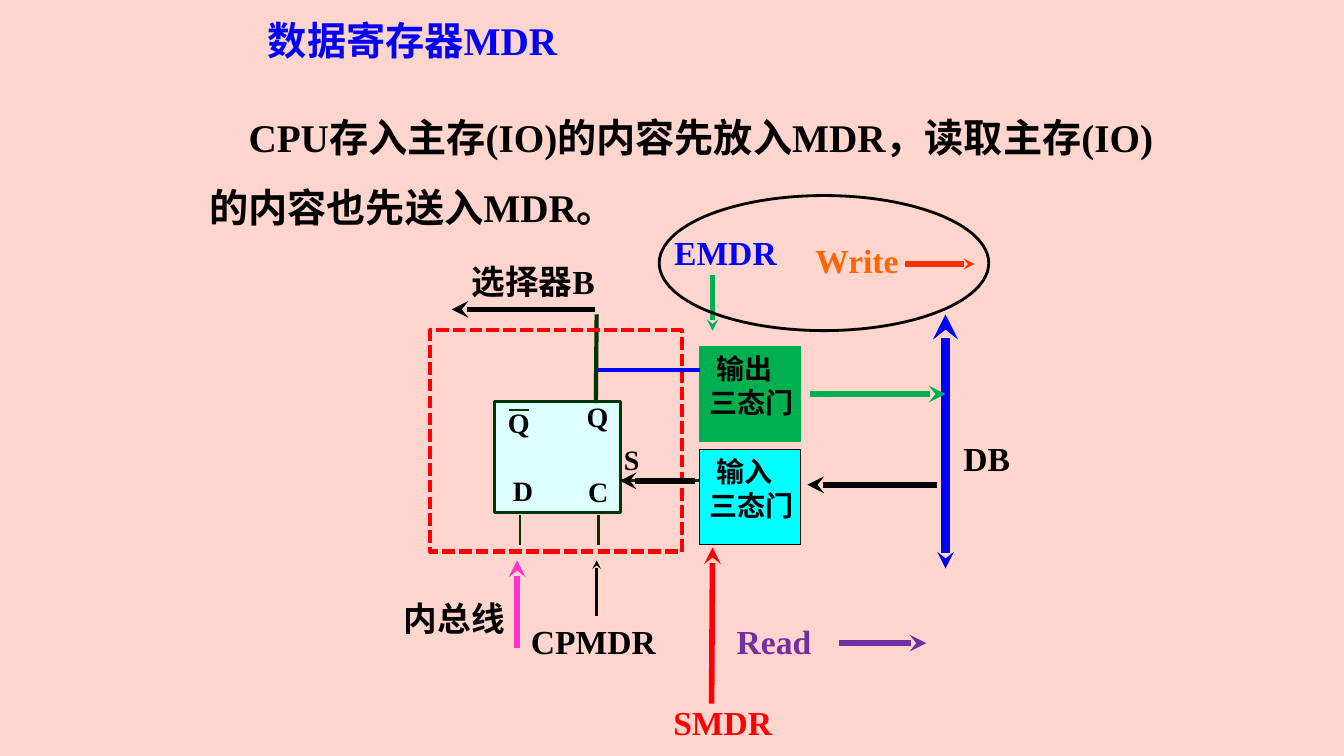
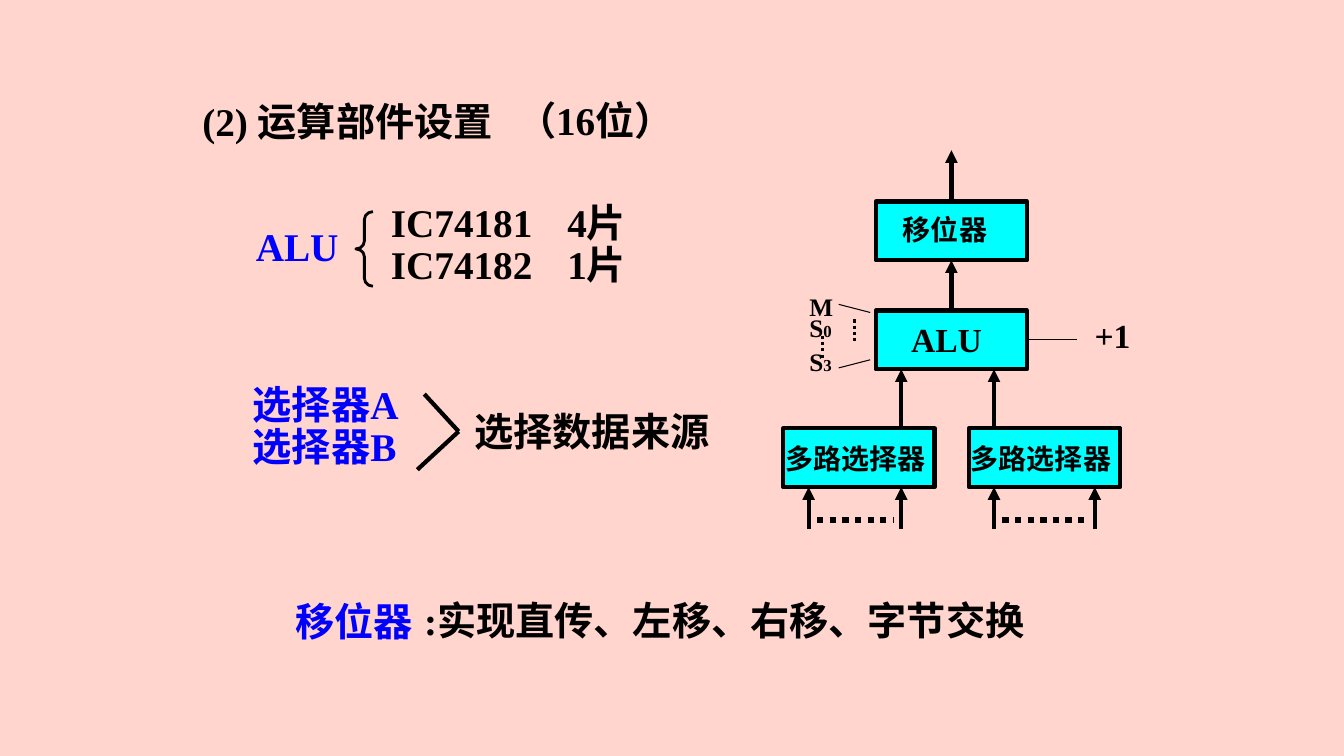
import dataclasses

import lxml.etree
import pptx
import pptx.dml.color
import pptx.enum.dml
import pptx.enum.shapes
import pptx.enum.text
import pptx.oxml.ns
import pptx.util

Pt = pptx.util.Pt
qn = pptx.oxml.ns.qn
FORM = pptx.enum.shapes.MSO_SHAPE
DASH = pptx.enum.dml.MSO_LINE
FIT = pptx.enum.text.MSO_AUTO_SIZE.SHAPE_TO_FIT_TEXT
TOP = pptx.enum.text.MSO_ANCHOR.TOP
LEFT = pptx.enum.text.PP_ALIGN.LEFT


@dataclasses.dataclass(frozen=True)
class Theme:
    """Colours, fonts and type sizes of the deck."""
    back: str = "FFD5CD"
    ink: str = "000000"
    blue: str = "0000FF"
    cyan: str = "00FFFF"
    pale: str = "DDFFFF"
    dark: str = "003400"
    green: str = "00B050"
    red: str = "FF0000"
    pink: str = "FF33CC"
    plum: str = "7030A0"
    amber: str = "FF6600"
    flame: str = "FF3300"
    latin: str = "Times New Roman"
    asian: str = "Noto Sans CJK SC"
    big: int = 28
    mid: int = 24
    body: int = 20
    note: int = 18
    tiny: int = 12


T = Theme()


def rgb(code):
    """Turn a hex code into a colour."""
    return pptx.dml.color.RGBColor.from_string(code)


def assign(thing, values):
    """Set each named attribute of an object."""
    for name, value in values.items():
        setattr(thing, name, value)


def write(frame, rows, size, color, gap=0, lead=None, indent=0, tab=0):
    """Fill a text frame; a row is a string or a list of (text, size) runs."""
    for i, row in enumerate(rows):
        para = frame.paragraphs[0] if i == 0 else frame.add_paragraph()
        props = para._p.get_or_add_pPr()
        if indent and i == 0:
            props.set("indent", str(Pt(indent)))
        if tab:
            stops = lxml.etree.SubElement(props, qn("a:tabLst"))
            lxml.etree.SubElement(stops, qn("a:tab"), pos=str(Pt(tab)), algn="l")
        assign(para, {"alignment": LEFT, "line_spacing": lead,
                      "space_before": Pt(gap if i else 0)})
        for words, points in [(row, size)] if isinstance(row, str) else row:
            run = para.add_run()
            run.text = words
            assign(run.font, {"size": Pt(points), "bold": True, "name": T.latin})
            run.font.color.rgb = rgb(color)
            lxml.etree.SubElement(run._r.get_or_add_rPr(), qn("a:ea"), typeface=T.asian)


def label(slide, x, y, w, h, rows, size=T.mid, color=T.ink, wrap=True, **style):
    """Add a text box."""
    box = slide.shapes.add_textbox(Pt(x), Pt(y), Pt(w), Pt(h))
    assign(box.text_frame, {"word_wrap": wrap, "auto_size": FIT})
    write(box.text_frame, rows, size, color, **style)


def block(slide, x, y, w, h, fill=None, line=T.ink, weight=3, form=FORM.RECTANGLE,
          dash=None, rows=(), pad=(0, 0), size=T.body, indent=0):
    """Add a preset shape with optional text set in from its top left."""
    shape = slide.shapes.add_shape(form, Pt(x), Pt(y), Pt(w), Pt(h))
    shape.shadow.inherit = False
    if fill:
        shape.fill.solid()
        shape.fill.fore_color.rgb = rgb(fill)
    else:
        shape.fill.background()
    shape.line.color.rgb = rgb(line)
    assign(shape.line, {"width": Pt(weight), "dash_style": dash})
    assign(shape.text_frame, {"margin_left": Pt(pad[0]), "margin_top": Pt(pad[1]),
                              "margin_right": 0, "margin_bottom": 0,
                              "vertical_anchor": TOP, "word_wrap": True})
    write(shape.text_frame, rows, size, T.ink, indent=indent)
    return shape


def wire(slide, x1, y1, x2, y2, color=T.ink, weight=3, head=None, tail=None,
         dash=None, start=None, end=None):
    """Add a line; head and tail are (type, size), start and end are (shape, side)."""
    line = slide.shapes.add_connector(pptx.enum.shapes.MSO_CONNECTOR.STRAIGHT,
                                      Pt(x1), Pt(y1), Pt(x2), Pt(y2))
    line.line.color.rgb = rgb(color)
    assign(line.line, {"width": Pt(weight), "dash_style": dash})
    props = line._element.spPr
    for tag, mark in (("a:headEnd", head), ("a:tailEnd", tail)):
        if mark:
            lxml.etree.SubElement(props.find(qn("a:ln")), qn(tag),
                                  type=mark[0], w=mark[1], len=mark[1])
    lxml.etree.SubElement(props, qn("a:effectLst"))
    if start:
        line.begin_connect(*start)
    if end:
        line.end_connect(*end)


BARB = ("stealth", "med")
SMALL = ("stealth", "sm")
POINT = ("triangle", "med")


def draw_bus(slide, x, y, h):
    """Draw the data bus and its name."""
    wire(slide, x, y + h, x, y, T.blue, 6, SMALL, BARB)
    label(slide, x + 5.7, y + 85, 48.2, 36, ["DB"], wrap=False)


def draw_latch(slide, x, y):
    """Draw the flip-flop inside its dashed frame."""
    block(slide, x + 46, y + 51, 90, 79, T.pale, T.dark, 2)
    for name, dx, dy in (("S", 131.5, 76.5), ("D", 52.3, 98.8), ("C", 106, 99.5),
                         ("Q", 105, 45.5), ("Q", 48.7, 50)):
        label(slide, x + dx, y + dy, 38, 27, [name], T.body)
    for x1, y1, x2, y2, weight in ((56.6, 57, 71, 57, 1.5), (119.2, -11.5, 118.6, 52, 3),
                                   (64.5, 132, 64.5, 153, 2), (120.7, 132, 120.7, 153, 2),
                                   (136, 107.4, 193, 107.4, 2)):
        wire(slide, x + x1, y + y1, x + x2, y + y2, T.dark, weight)
    block(slide, x, y, 180, 158, line=T.red, dash=DASH.SQUARE_DOT)


def draw_gates(slide, x, y, bus):
    """Draw both gates and their wires to the latch and the bus."""
    for i, (name, fill, line) in enumerate((("输出", T.green, T.green),
                                            ("输入", T.cyan, T.ink))):
        block(slide, x, y + 73.4 * i, 72, 67.7, fill, line, 1,
              rows=[name, "三态门"], pad=(7.2, 3.6), indent=5)
    wire(slide, x - 73.5, y + 16.5, x, y + 16.5, T.blue)
    wire(slide, x - 3, y + 95.7, x - 57, y + 95.7, weight=4, tail=BARB)
    wire(slide, x + 79, y + 33.8, bus, y + 33.8, T.green, 4, tail=BARB)
    wire(slide, bus - 6, y + 98.6, x + 77, y + 98.6, weight=4, tail=BARB)


def draw_signals(slide, x, y):
    """Draw each control signal: its name and its arrow."""
    signals = (
        ("Read", 237.6, 300.2, 68.4, T.plum, False, (317.5, 319.7, 380.2, 319.7), T.plum, 4, BARB),
        ("CPMDR", 90.7, 300.2, 105, T.ink, True, (144.7, 300.2, 144.7, 260.6), T.ink, 2, BARB),
        ("EMDR", 193, 22.3, 88.6, T.blue, False, (227.5, 56.9, 227.5, 96.5), T.green, 4, SMALL),
        ("选择器B", 48.3, 43.2, 105, T.ink, True, (143.3, 81.3, 41.1, 81.3), T.ink, 4, BARB),
        ("内总线", 0, 283.7, 105, T.ink, True, (87.9, 323.3, 87.9, 260.6), T.pink, 4, BARB),
        ("SMDR", 192.3, 358.5, 85.7, T.red, False, (226.8, 362.9, 227.5, 251.3), T.red, 4, BARB),
        ("Write", 293.8, 28.1, 74.9, T.amber, False, (365.1, 48.9, 414.7, 48.9), T.flame, 4, SMALL),
    )
    for name, dx, dy, w, ink, wrap, (x1, y1, x2, y2), color, weight, mark in signals:
        label(slide, x + dx, y + dy, w, 36, [name], color=ink, wrap=wrap)
        wire(slide, x + x1, y + y1, x + x2, y + y2, color, weight, tail=mark)
    block(slide, x + 189.4, y, 235.4, 96.5, weight=2, form=FORM.OVAL)


def make_mdr(slide):
    """Build the data register slide."""
    bus = 675.4
    draw_bus(slide, bus, 224.6, 181.5)
    draw_latch(slide, 307, 236)
    draw_gates(slide, 499.7, 247.7, bus)
    label(slide, 184.3, 8, 243.4, 41, ["数据寄存器MDR"], T.big, T.blue)
    label(slide, 142.5, 60.5, 689, 103,
          ["CPU存入主存(IO)的内容先放入MDR，读取主存(IO)的内容也先送入MDR。"],
          T.big, lead=1.5, indent=28)
    draw_signals(slide, 281.5, 139.7)


def draw_chips(slide, x, y):
    """Draw the list of chips that form the ALU."""
    label(slide, x + 96.5, y, 275.8, 64.8, ["IC74181\t4片", "IC74182\t1片"],
          T.big, lead=0.6, gap=10, tab=126)
    brace = block(slide, x + 78.5, y + 1.4, 12.2, 53.3, weight=2, form=FORM.LEFT_BRACE)
    brace.adjustments[0] = 0.46
    label(slide, x, y + 5.7, 216, 41, ["ALU"], T.big, T.blue)


def draw_choice(slide, x, y):
    """Draw the two selectors and what they do."""
    label(slide, x, y, 228, 64.8, ["选择器A", "选择器B"], T.big, T.blue, lead=0.6, gap=10)
    for dx, dy in ((129.6, 1.4), (124.6, 55.4)):
        wire(slide, x + dx, y + dy, x + 154.1, y + 28.1)
    label(slide, x + 158.4, y + 7.2, 206.6, 41, ["选择数据来源"], T.big)


def draw_flow(slide, x, y):
    """Draw the data path from the selectors up to the shifter."""
    w, h, left, mid = 108, 42, 66, 120
    top, low = 77.8, 162

    def part(dx, dy, name, pad, size=T.body):
        """Add one unit of the path."""
        return block(slide, x + dx, y + dy, w, h, T.cyan, rows=[name], pad=pad, size=size)

    def link(x1, y1, x2, y2, **style):
        """Add one wire of the path."""
        wire(slide, x + x1, y + y1, x + x2, y + y2, **style)

    shift = part(left, 0, "移位器", (19.4, 7.9))
    core = part(left, top, "ALU", (25.2, 5.8), T.mid)
    for dx in (0, 132.5):
        part(dx, low, "多路选择器", (1.4, 9.4))
    link(mid, 0, mid, -36.7, tail=POINT, start=(shift, 0))
    link(mid, top, mid, h, tail=POINT, start=(core, 0), end=(shift, 2))
    for dx in (84.2, 150.4):
        link(dx, low, dx, top + h, tail=POINT)
    for first, last in ((18, 84.2), (150.4, 222.4)):
        for dx in (first, last):
            link(dx, 234, dx, low + h, tail=POINT)
        link(first + 6, 227.5, last - 6, 227.5, weight=4.5, dash=DASH.ROUND_DOT)
    label(slide, x + 11.5, y + 66.2, 45.4, 63.4,
          [[("M S", T.note), ("0", T.tiny)], [("S", T.note), ("3", T.tiny)]],
          lead=0.7, gap=9)
    for dx, dy in ((51, 84.2), (28, 95.8)):
        link(dx, dy, dx, dy + 17.3, weight=2.25, dash=DASH.ROUND_DOT)
    for y1, y2 in ((73.4, 79.2), (118.8, 113)):
        link(39.5, y1, 62, y2, weight=0.75)
    link(left + w, top + h / 2, 209.5, top + h / 2, weight=0.75, start=(core, 3))
    label(slide, x + 215.2, y + 85, 45.4, 27.4, ["+1"], lead=0.7)


def make_alu(slide):
    """Build the arithmetic unit slide."""
    label(slide, 137.5, 66.2, 390, 41, ["(2) 运算部件设置"], T.big)
    label(slide, 362.2, 65.5, 198, 41, ["（16位）"], T.big)
    draw_chips(slide, 175.7, 149.8)
    draw_choice(slide, 173.5, 280.1)
    label(slide, 203.8, 423.4, 216, 41, ["移位器"], T.big, T.blue)
    label(slide, 295.9, 422.6, 461.5, 41, [":实现直传、左移、右移、字节交换"], T.big)
    draw_flow(slide, 559.6, 144)


def main():
    """Build the deck and save it."""
    deck = pptx.Presentation()
    assign(deck, {"slide_width": Pt(960), "slide_height": Pt(540)})
    fill = deck.slide_master.background.fill
    fill.solid()
    fill.fore_color.rgb = rgb(T.back)
    for make in (make_mdr, make_alu):
        make(deck.slides.add_slide(deck.slide_layouts[6]))
    deck.save("out.pptx")


if __name__ == "__main__":
    main()
